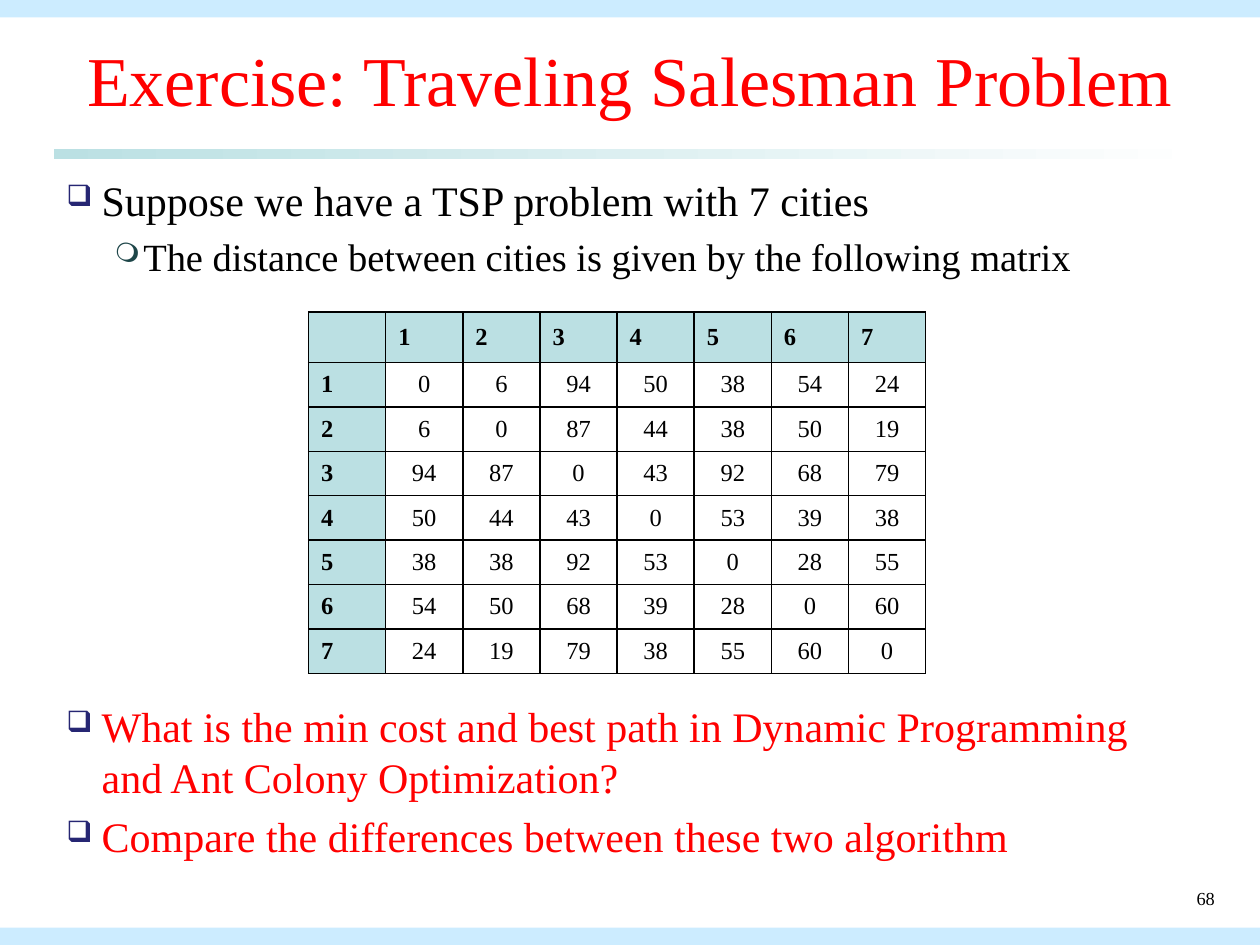
from typing import NamedTuple, Optional

from lxml import etree
from pptx import Presentation
from pptx import util as u
from pptx.dml.color import RGBColor
from pptx.enum import shapes, text
from pptx.oxml import ns

COLORS = {
    "band": "CCECFF",
    "header": "BBE0E3",
    "white": "FFFFFF",
    "black": "000000",
    "red": "FF0000",
    "square": "262673",
    "circle": "1E4649",
}
FONT = "Times New Roman"
ALIGN = text.PP_ALIGN
ANCHOR = text.MSO_ANCHOR
DISTANCES = [
    [0, 6, 94, 50, 38, 54, 24],
    [6, 0, 87, 44, 38, 50, 19],
    [94, 87, 0, 43, 92, 68, 79],
    [50, 44, 43, 0, 53, 39, 38],
    [38, 38, 92, 53, 0, 28, 55],
    [54, 50, 68, 39, 28, 0, 60],
    [24, 19, 79, 38, 55, 60, 0],
]


class Box(NamedTuple):
    left: float
    top: float
    width: float
    height: float

    def lengths(self) -> list:
        return [u.Cm(value) for value in self]


class Bar(NamedTuple):
    box: Box
    color: str
    fade_to: Optional[str] = None


class Bullet(NamedTuple):
    mark: str
    color: str
    margin: float
    hang: float
    level: int


class Point(NamedTuple):
    content: str
    bullet: Bullet
    size: float
    color: str
    before: float


SQUARE = Bullet("❑", "square", 0.71, 0.71, 0)
CIRCLE = Bullet("❍", "circle", 1.55, 0.58, 1)

BARS = [
    Bar(Box(1.09, 3, 23.22, 0.2), "header", "white"),
    Bar(Box(0, 0, 25.4, 0.35), "band"),
    Bar(Box(0, 18.7, 25.4, 0.35), "band"),
]
POINTS = [
    Point("Suppose we have a TSP problem with 7 cities", SQUARE, 24, "black", 4.8),
    Point("The distance between cities is given by the following matrix",
          CIRCLE, 22, "black", 4.4),
    Point("What is the min cost and best path in Dynamic Programming "
          "and Ant Colony Optimization?", SQUARE, 24, "red", 241),
    Point("Compare the differences between these two algorithm", SQUARE, 24, "red", 4.8),
]


def rgb(name: str) -> RGBColor:
    return RGBColor.from_string(COLORS[name])


def write(paragraph, content: str, *, size: float, color: str = "black",
          bold: bool = False, align=ALIGN.LEFT) -> None:
    paragraph.alignment = align
    run = paragraph.add_run()
    run.text = content
    run.font.name = FONT
    run.font.size = u.Pt(size)
    run.font.bold = bold
    run.font.color.rgb = rgb(color)


def add_text_frame(slide, box: Box, *, wrap: bool = True, anchor=ANCHOR.TOP):
    frame = slide.shapes.add_textbox(*box.lengths()).text_frame
    frame.word_wrap = wrap
    frame.vertical_anchor = anchor
    return frame


def add_bar(slide, bar: Bar) -> None:
    shape = slide.shapes.add_shape(shapes.MSO_SHAPE.RECTANGLE, *bar.box.lengths())
    shape.shadow.inherit = False
    shape.line.fill.background()
    if bar.fade_to:
        shape.fill.gradient()
        shape.fill.gradient_angle = 0
        for stop, color in zip(shape.fill.gradient_stops, (bar.color, bar.fade_to)):
            stop.color.rgb = rgb(color)
    else:
        shape.fill.solid()
        shape.fill.fore_color.rgb = rgb(bar.color)


def add_child(parent, tag: str, **attributes: str):
    return etree.SubElement(parent, ns.qn(tag), attributes)


def set_bullet(paragraph, bullet: Bullet) -> None:
    paragraph.level = bullet.level
    properties = paragraph._p.get_or_add_pPr()
    properties.set("marL", str(u.Cm(bullet.margin)))
    properties.set("indent", str(-u.Cm(bullet.hang)))
    add_child(add_child(properties, "a:buClr"), "a:srgbClr", val=COLORS[bullet.color])
    add_child(properties, "a:buSzPct", val="70000")
    add_child(properties, "a:buChar", char=bullet.mark)


def add_points(slide, box: Box, points: list[Point]) -> None:
    frame = add_text_frame(slide, box)
    for index, point in enumerate(points):
        paragraph = frame.add_paragraph() if index else frame.paragraphs[0]
        write(paragraph, point.content, size=point.size, color=point.color)
        paragraph.space_before = u.Pt(point.before)
        set_bullet(paragraph, point.bullet)


def set_borders(cell) -> None:
    properties = cell._tc.get_or_add_tcPr()
    for index, side in enumerate(("a:lnL", "a:lnR", "a:lnT", "a:lnB")):
        line = etree.Element(ns.qn(side), {"w": str(u.Pt(1))})
        add_child(add_child(line, "a:solidFill"), "a:srgbClr", val=COLORS["black"])
        properties.insert(index, line)


def add_matrix(slide, box: Box, distances: list[list[int]], header_height: float) -> None:
    count = len(distances) + 1
    table = slide.shapes.add_table(count, count, *box.lengths()).table
    row_height = (box.height - header_height) / (count - 1)
    cities = list(range(1, count))
    grid = [["", *cities]] + [[city, *row] for city, row in zip(cities, distances)]
    for i, values in enumerate(grid):
        table.columns[i].width = u.Cm(box.width / count)
        table.rows[i].height = u.Cm(row_height if i else header_height)
        for j, value in enumerate(values):
            cell = table.cell(i, j)
            is_header = i == 0 or j == 0
            cell.vertical_anchor = ANCHOR.MIDDLE
            write(cell.text_frame.paragraphs[0], str(value), size=14, bold=is_header,
                  align=ALIGN.JUSTIFY if is_header else ALIGN.CENTER)
            if is_header:
                cell.fill.solid()
                cell.fill.fore_color.rgb = rgb("header")
            else:
                cell.fill.background()
            set_borders(cell)


def main() -> None:
    presentation = Presentation()
    presentation.slide_width = u.Cm(25.4)
    presentation.slide_height = u.Cm(19.05)
    slide = presentation.slides.add_slide(presentation.slide_layouts[6])
    for bar in BARS:
        add_bar(slide, bar)
    title = add_text_frame(slide, Box(1.27, 0.36, 22.86, 2.44),
                           wrap=False, anchor=ANCHOR.MIDDLE)
    write(title.paragraphs[0], "Exercise: Traveling Salesman Problem",
          size=40, color="red", align=ALIGN.CENTER)
    add_points(slide, Box(1.09, 3.4, 23.04, 14.35), POINTS)
    number = add_text_frame(slide, Box(18.21, 17.75, 6.53, 0.94))
    write(number.paragraphs[0], "68", size=10.5, align=ALIGN.RIGHT)
    add_matrix(slide, Box(6.22, 6.29, 12.44, 7.24), DISTANCES, header_height=0.97)
    presentation.save("out.pptx")


if __name__ == "__main__":
    main()
